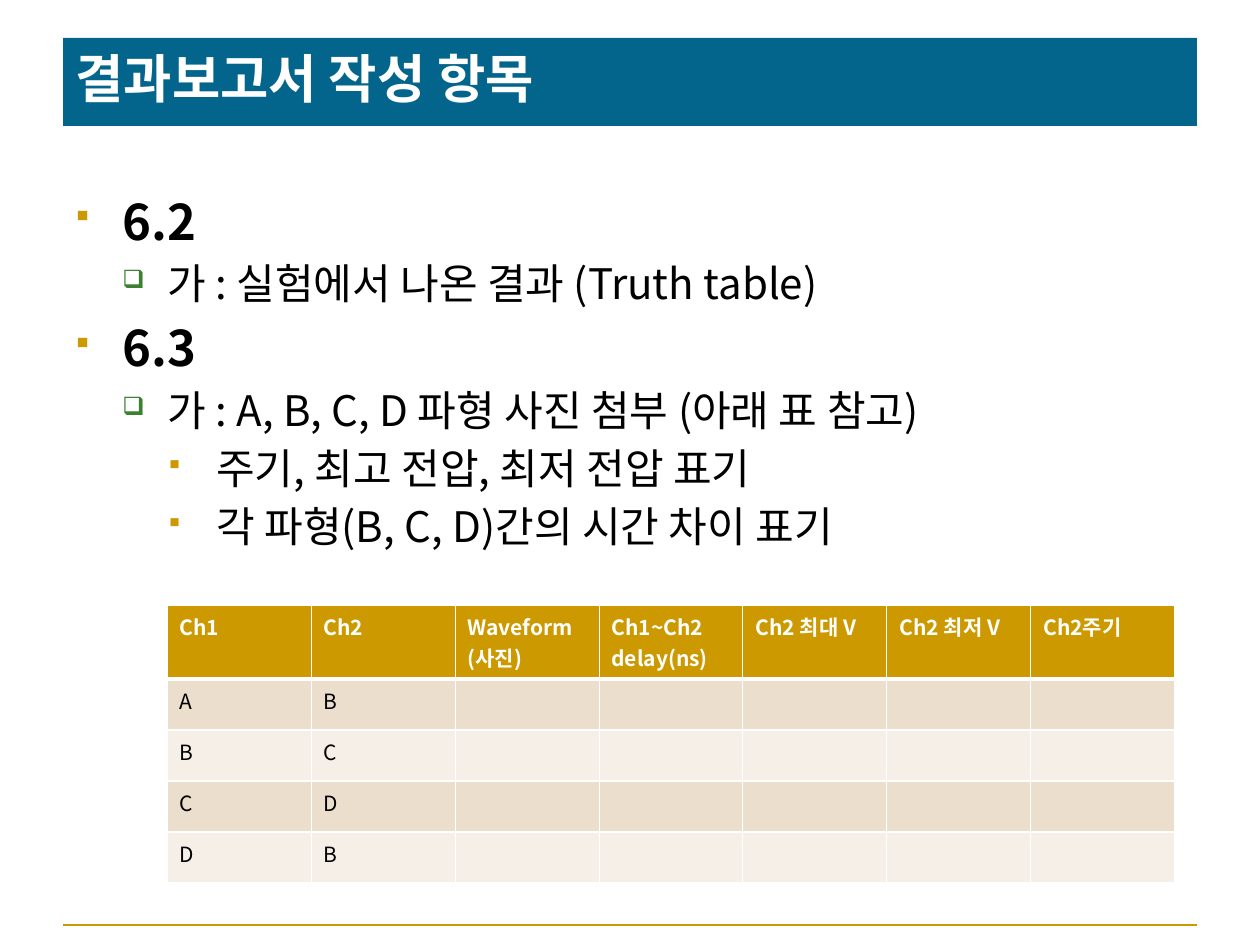
from dataclasses import dataclass

from lxml import etree
from pptx import Presentation
from pptx.dml.color import RGBColor
from pptx.enum.shapes import MSO_CONNECTOR
from pptx.enum.text import MSO_ANCHOR, PP_ALIGN
from pptx.oxml.ns import qn
from pptx.util import Emu, Pt

LEFT = PP_ALIGN.LEFT
TOP, MIDDLE = MSO_ANCHOR.TOP, MSO_ANCHOR.MIDDLE
STRAIGHT = MSO_CONNECTOR.STRAIGHT
TITLE_ONLY = 5
SCALE = 914400 / 126


@dataclass(frozen=True)
class Theme:
    """Colours, fonts and type sizes of the slide."""
    font: str = "Noto Sans CJK KR"
    marks: str = "Wingdings"
    white: str = "FFFFFF"
    black: str = "000000"
    blue: str = "03658C"
    gold: str = "CC9900"
    green: str = "3B812F"
    bands: tuple = ("ECDECC", "F6EFE7")
    title: int = 30
    head: int = 28
    body: int = 24
    cell: int = 12


THEME = Theme()

# Indent and hang in pixels, bullet, bullet colour, bullet size, type size, bold
LEVELS = (
    (47, 47, "§", THEME.gold, 65, THEME.head, True),
    (92, 45, "q", THEME.green, 60, THEME.body, False),
    (141, 48, "§", THEME.gold, 65, THEME.body, False),
)
ITEMS = (
    (0, "6.2"),
    (1, "가 : 실험에서 나온 결과 (Truth table)"),
    (0, "6.3\u00a0"),
    (1, "가 : A, B, C, D 파형\u00a0사진 첨부 (아래 표 참고)"),
    (2, "주기, 최고 전압, 최저 전압 표기"),
    (2, "각 파형(B, C, D)간의 시간 차이 표기"),
)
HEADS = ("Ch1", "Ch2", "Waveform\n(사진)", "Ch1~Ch2 \ndelay(ns)",
         "Ch2 최대 V", "Ch2 최저\u00a0V", "Ch2주기")
PAIRS = ("AB", "BC", "CD", "DB")


def px(n):
    """Turn pixels into EMU."""
    return Emu(round(n * SCALE))


def rgb(code):
    """Turn a hex code into a colour."""
    return RGBColor.from_string(code)


def style(obj, **values):
    """Set each given attribute on an object."""
    for key, value in values.items():
        setattr(obj, key, value)


def add(parent, tag, **attrs):
    """Append an XML child with attributes."""
    node = etree.SubElement(parent, qn(tag))
    for key, value in attrs.items():
        node.set(key, str(value))
    return node


def write(para, text, size, color, bold=False):
    """Put one styled run, without kerning, in a paragraph."""
    run = para.add_run()
    run.text = text
    style(run.font, name=THEME.font, size=Pt(size), bold=bold)
    run.font.color.rgb = rgb(color)
    run.font._element.set("kern", "0")
    add(run.font._element, "a:ea", typeface=THEME.font)


def bullet(para, indent, hang, mark, color, size):
    """Give a paragraph a hanging bullet."""
    props = para._p.get_or_add_pPr()
    props.set("marL", str(px(indent)))
    props.set("indent", str(-px(hang)))
    add(add(props, "a:buClr"), "a:srgbClr", val=color)
    add(props, "a:buSzPct", val=size * 1000)
    add(props, "a:buFont", typeface=THEME.marks, charset=2)
    add(props, "a:buChar", char=mark)


def border(cell, base):
    """Draw white edges round a cell, with the given bottom width."""
    props = cell._tc.get_or_add_tcPr()
    for side, width in dict(L=0.5, R=0.5, T=1, B=base).items():
        edge = add(props, f"a:ln{side}", w=Pt(width))
        add(add(edge, "a:solidFill"), "a:srgbClr", val=THEME.white)


def title(slide, x, y, w, h):
    """Format the title as a filled bar."""
    bar = slide.shapes.title
    style(bar, left=px(x), top=px(y), width=px(w), height=px(h))
    bar.fill.solid()
    bar.fill.fore_color.rgb = rgb(THEME.blue)
    style(bar.text_frame, vertical_anchor=MIDDLE, margin_bottom=px(16))
    para = bar.text_frame.paragraphs[0]
    para.alignment = LEFT
    write(para, "결과보고서 작성 항목", THEME.title, THEME.white, True)


def outline(slide, x, y, w, h):
    """Place the bulleted list."""
    frame = slide.shapes.add_textbox(px(x), px(y), px(w), px(h)).text_frame
    style(frame, word_wrap=True, vertical_anchor=TOP, margin_top=0)
    for i, (level, text) in enumerate(ITEMS):
        indent, hang, mark, color, share, size, bold = LEVELS[level]
        para = frame.add_paragraph() if i else frame.paragraphs[0]
        style(para, level=level, alignment=LEFT,
              line_spacing=Pt(round(size * 1.16, 1)),
              space_before=Pt(round(size * 0.23, 1)))
        bullet(para, indent, hang, mark, color, share)
        write(para, text, size, THEME.black, bold)


def table(slide, x, y, w, head, row):
    """Place the table of channel pairs."""
    rows, cols = len(PAIRS) + 1, len(HEADS)
    full = head + row * len(PAIRS)
    grid = slide.shapes.add_table(rows, cols, px(x), px(y), px(w), px(full)).table
    for col in grid.columns:
        col.width = px(w / cols)
    for r in range(rows):
        grid.rows[r].height = px(row if r else head)
        texts = PAIRS[r - 1] if r else HEADS
        fill = THEME.bands[(r - 1) % 2] if r else THEME.gold
        color = THEME.black if r else THEME.white
        for c in range(cols):
            cell = grid.cell(r, c)
            border(cell, 1 if r else 3)
            cell.fill.solid()
            cell.fill.fore_color.rgb = rgb(fill)
            lines = texts[c].split("\n") if c < len(texts) else ()
            for i, line in enumerate(lines):
                frame = cell.text_frame
                para = frame.add_paragraph() if i else frame.paragraphs[0]
                write(para, line, THEME.cell, color, r == 0)


def rule(slide, x, y, w):
    """Draw the line at the foot."""
    line = slide.shapes.add_connector(STRAIGHT, px(x), px(y), px(x + w), px(y))
    line.line.color.rgb = rgb(THEME.gold)
    line.line.width = Pt(1.5)
    add(line._element.spPr, "a:effectLst")


def main():
    """Build and save the slide."""
    deck = Presentation()
    style(deck, slide_width=px(1260), slide_height=px(945))
    slide = deck.slides.add_slide(deck.slide_layouts[TITLE_ONLY])
    rule(slide, 63, 925, 1134)
    title(slide, 63, 38, 1134, 88)
    outline(slide, 63, 193, 1134, 653)
    table(slide, 167, 605, 1008, 74, 51)
    deck.save("out.pptx")


main()
